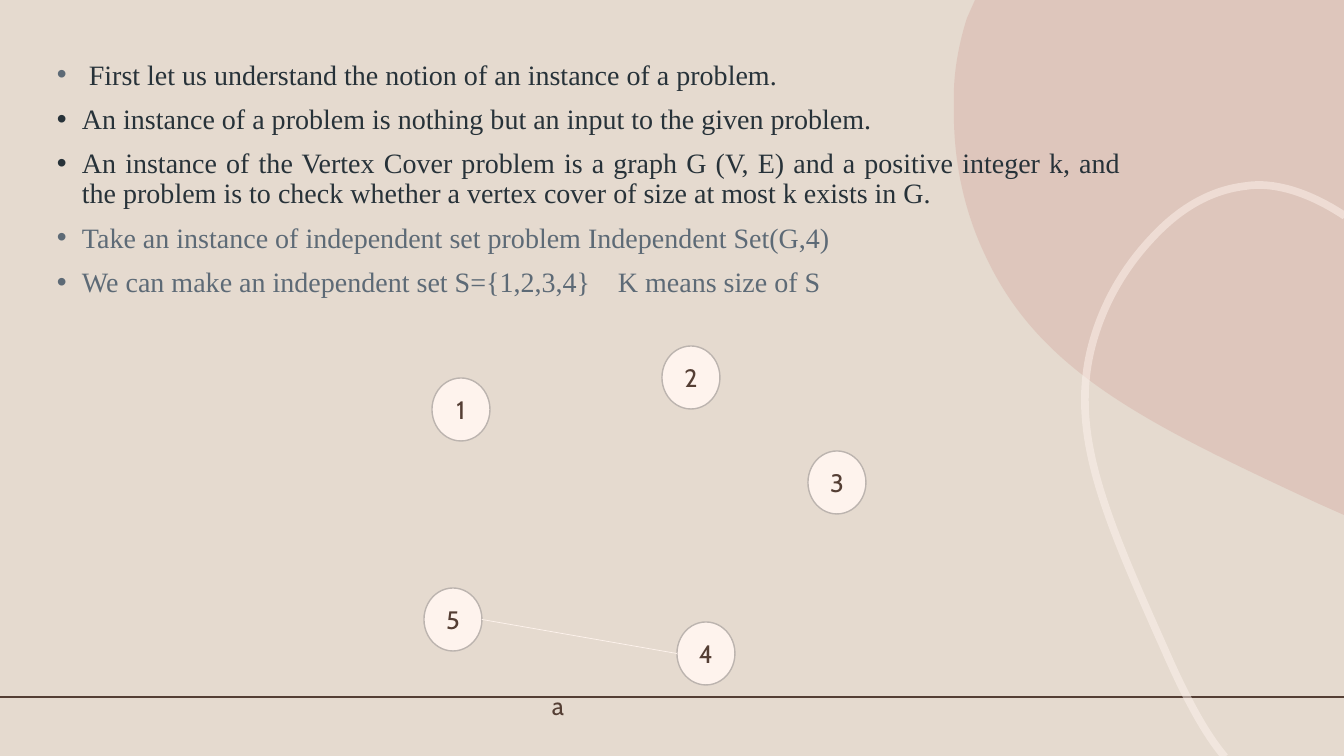
from lxml import etree
from pptx import Presentation
from pptx import util as u
from pptx.dml.color import RGBColor
from pptx.enum import shapes, text
from pptx.oxml.ns import qn

EMU_PER_PX = 12192000 / 1344
WIDTH, HEIGHT = 1344, 756
SAND, ROSE, CREAM, BROWN = "E5DACF", "CF9B92", "FEF3ED", "543E34"
NODE_LINE, DARK, SLATE = "BCB4AF", "273239", "5D6A76"
NODE_WIDTH, NODE_HEIGHT = 58, 63

# Text, colour, justified, hanging indent
BULLETS = [
    ("First let us understand the notion of an instance of a problem.", DARK, False, 32),
    ("An instance of a problem is nothing but an input to the given problem.", DARK, True, 25),
    ("An instance of the Vertex Cover problem is a graph G (V, E) and a positive integer k, "
     "and the problem is to check whether a vertex cover of size at most k exists in G.",
     DARK, True, 25),
    ("Take an instance of independent set problem Independent Set(G,4)", SLATE, False, 25),
    ("We can make an independent set S={1,2,3,4}\tK means size of S", SLATE, False, 25),
]
SIZE_TAB = 561
NODES = {"1": (432, 378), "2": (662, 346), "3": (808, 451), "5": (424, 588), "4": (677, 622)}

# Each step is one point (line) or three points (cubic curve)
BLOB = [
    [(975, 0)], [(1344, 0)], [(1344, 515)], [(1317, 503)],
    [(1147, 424), (1040, 372), (986, 257)],
    [(956, 195), (953, 136), (954, 102)],
    [(953, 80), (957, 49), (967, 18)],
]
LOOP = [
    [(1225, 757)],
    [(1208, 737), (1189, 705), (1165, 650)],
    [(1103, 511), (1066, 427), (1095, 335)],
    [(1110, 287), (1136, 255), (1153, 237)],
    [(1170, 219), (1201, 191), (1246, 186)],
    [(1251, 185), (1257, 185), (1262, 185)],
    [(1289, 186), (1318, 198), (1345, 216)],
]


def px(length):
    return u.Emu(round(length * EMU_PER_PX))


def color(value):
    return RGBColor.from_string(value)


def set_alpha(fill_parent, percent):
    clr = fill_parent.find(qn("a:solidFill"))[0]
    etree.SubElement(clr, qn("a:alpha")).set("val", str(percent * 1000))


def style_font(paragraph, name, size, value):
    for run in paragraph.runs:
        run.font.name, run.font.size = name, u.Pt(size)
        run.font.color.rgb = color(value)


def add_outline(slide, box, steps, close):
    """Span the box with a freeform, then give its path the lines and curves in steps."""
    left, top, width, height = box
    builder = slide.shapes.build_freeform(px(left), px(top))
    builder.add_line_segments([(px(left + width), px(top + height))], close=False)
    shape = builder.convert_to_shape()
    shape.shadow.inherit = False
    path = next(shape._element.iter(qn("a:path")))
    for command in list(path):
        path.remove(command)
    for i, step in enumerate(steps):
        tag = "a:cubicBezTo" if len(step) == 3 else "a:lnTo" if i else "a:moveTo"
        command = etree.SubElement(path, qn(tag))
        for x, y in step:
            point = etree.SubElement(command, qn("a:pt"))
            point.set("x", str(px(x - left)))
            point.set("y", str(px(y - top)))
    if close:
        etree.SubElement(path, qn("a:close"))
    return shape


def add_line(slide, start, end, value, width):
    line = slide.shapes.add_connector(shapes.MSO_CONNECTOR.STRAIGHT,
                                      *map(px, (*start, *end)))
    line.line.color.rgb = color(value)
    line.line.width = u.Pt(width)
    etree.SubElement(line._element.spPr, qn("a:effectLst"))


def add_background(slide):
    slide.background.fill.solid()
    slide.background.fill.fore_color.rgb = color(SAND)
    add_line(slide, (0, 697), (WIDTH, 697), BROWN, 1.25)

    blob = add_outline(slide, (953, 0, 391, 515), BLOB, True)
    blob.fill.solid()
    blob.fill.fore_color.rgb = color(ROSE)
    set_alpha(blob._element.spPr, 30)
    blob.line.fill.background()

    loop = add_outline(slide, (1085, 185, 260, 572), LOOP, False)
    loop.fill.background()
    loop.line.color.rgb = color(CREAM)
    loop.line.width = u.Pt(5.5)
    set_alpha(loop.line._get_or_add_ln(), 50)


def add_bullet(paragraph, indent, bullet_color):
    properties = paragraph._p.get_or_add_pPr()
    properties.set("marL", str(px(indent)))
    properties.set("indent", str(-px(indent)))
    bullet = etree.SubElement(properties, qn("a:buClr"))
    etree.SubElement(bullet, qn("a:srgbClr")).set("val", bullet_color)
    etree.SubElement(properties, qn("a:buFont")).set("typeface", "Arial")
    etree.SubElement(properties, qn("a:buChar")).set("char", "•")
    if "\t" in paragraph.text:
        tab = etree.SubElement(etree.SubElement(properties, qn("a:tabLst")), qn("a:tab"))
        tab.set("pos", str(px(SIZE_TAB)))
        tab.set("algn", "l")


def add_body(slide, left, top, width, height):
    frame = slide.shapes.add_textbox(*map(px, (left, top, width, height))).text_frame
    frame.word_wrap = True
    for i, (words, value, justified, indent) in enumerate(BULLETS):
        paragraph = frame.add_paragraph() if i else frame.paragraphs[0]
        paragraph.text = words
        add_bullet(paragraph, indent, value if i else SLATE)
        paragraph.alignment = text.PP_ALIGN.JUSTIFY if justified else text.PP_ALIGN.LEFT
        paragraph.line_spacing = 0.9
        paragraph.space_before = u.Pt(10 if i else 0)
        style_font(paragraph, "Times New Roman", 20, value)


def add_node(slide, label, left, top):
    node = slide.shapes.add_shape(shapes.MSO_SHAPE.OVAL,
                                  *map(px, (left, top, NODE_WIDTH, NODE_HEIGHT)))
    node.shadow.inherit = False
    node.fill.solid()
    node.fill.fore_color.rgb = color(CREAM)
    node.line.color.rgb = color(NODE_LINE)
    node.line.width = u.Pt(1)
    frame = node.text_frame
    frame.text = label
    frame.vertical_anchor = text.MSO_ANCHOR.MIDDLE
    frame.paragraphs[0].alignment = text.PP_ALIGN.CENTER
    style_font(frame.paragraphs[0], "Cabin", 18, BROWN)


def add_graph(slide):
    for label, (left, top) in NODES.items():
        add_node(slide, label, left, top)
    (left5, top5), (left4, top4) = NODES["5"], NODES["4"]
    add_line(slide, (left5 + NODE_WIDTH, top5 + NODE_HEIGHT / 2),
             (left4, top4 + NODE_HEIGHT / 2), CREAM, 0.5)


def add_caption(slide, left, top, width, height):
    frame = slide.shapes.add_textbox(*map(px, (left, top, width, height))).text_frame
    frame.word_wrap = True
    frame.text = "a"
    style_font(frame.paragraphs[0], "Cabin", 18, BROWN)


def main():
    presentation = Presentation()
    presentation.slide_width, presentation.slide_height = px(WIDTH), px(HEIGHT)
    slide = presentation.slides.add_slide(presentation.slide_layouts[6])
    add_background(slide)
    add_body(slide, 47, 56, 1084, 297)
    add_graph(slide)
    add_caption(slide, 542, 685, 106, 40)
    presentation.save("out.pptx")


if __name__ == "__main__":
    main()
